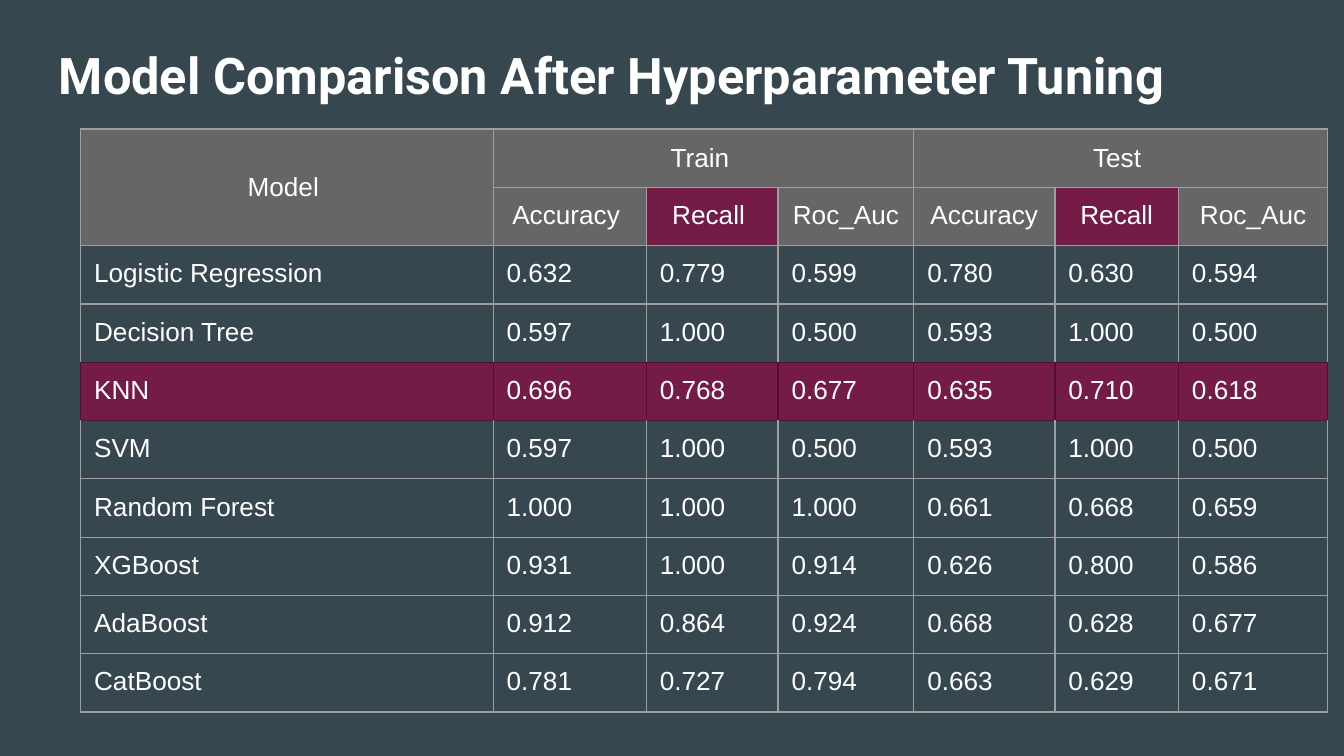
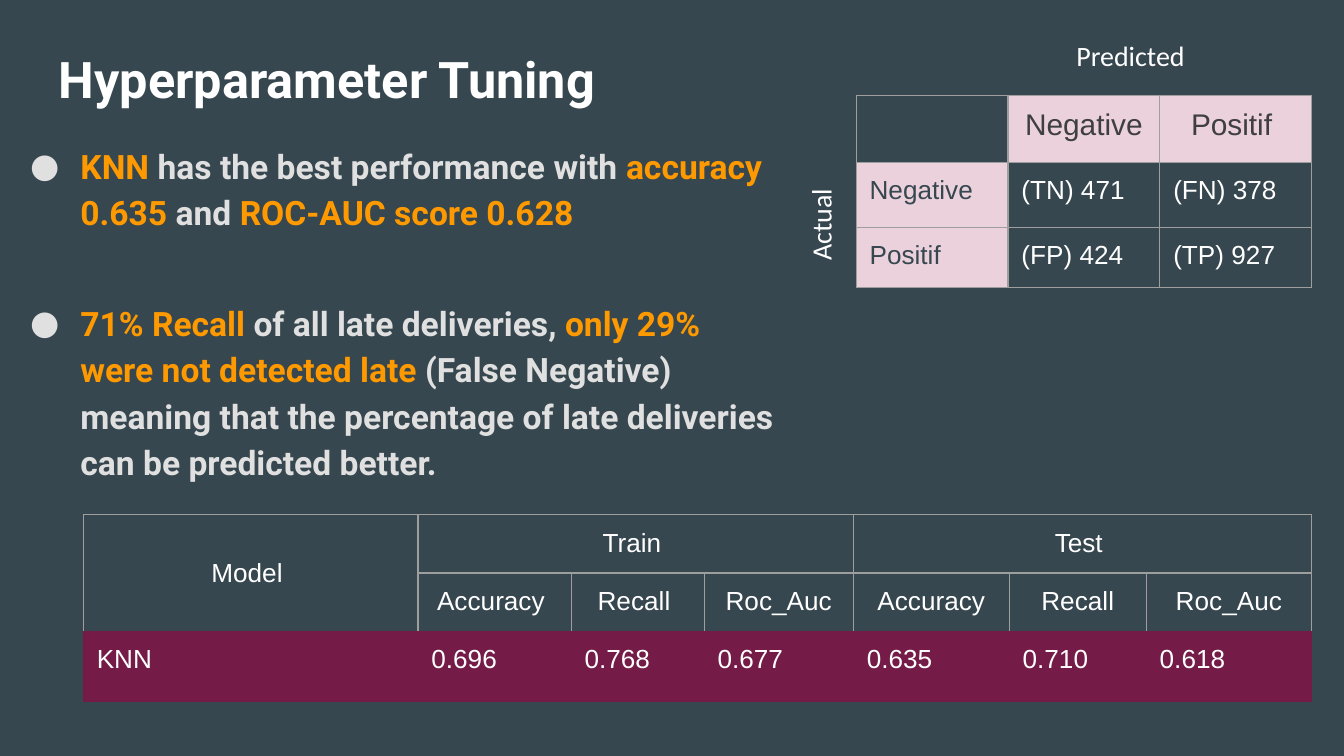
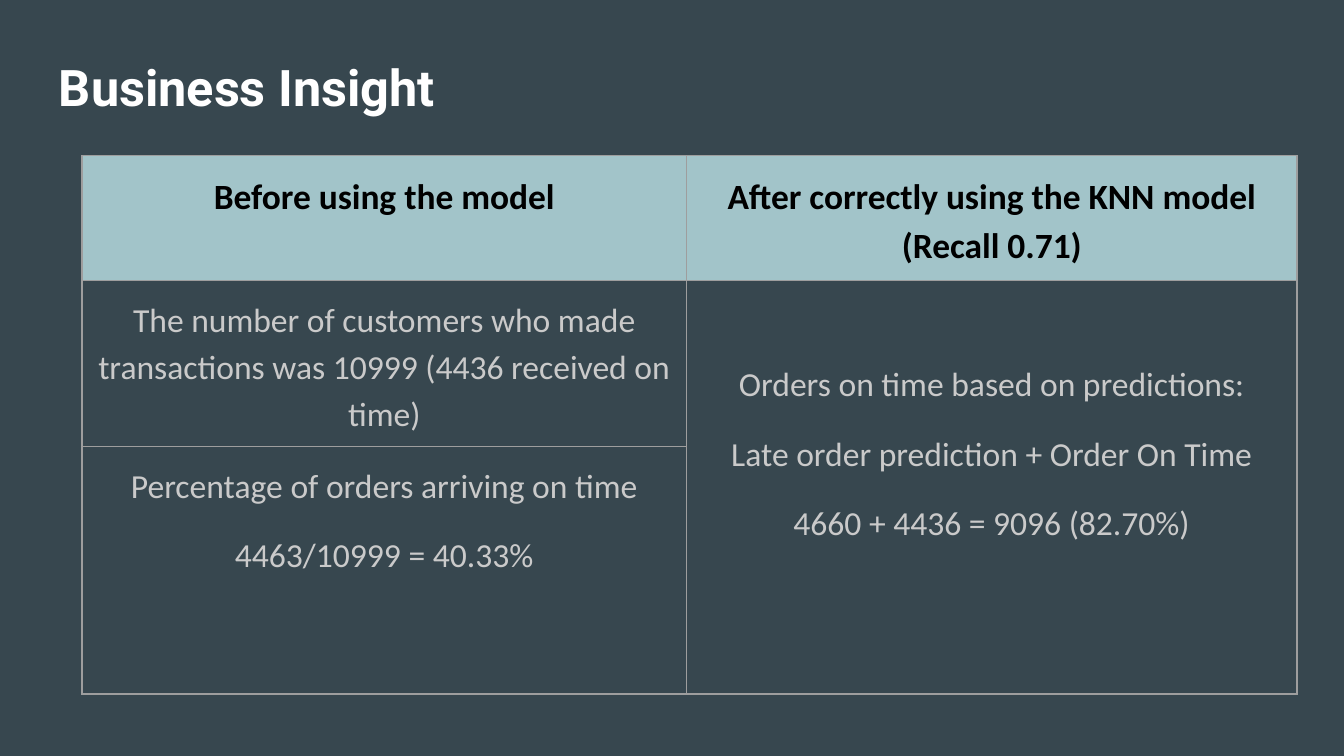
from dataclasses import dataclass, replace

from lxml.etree import SubElement
from pptx import Presentation
from pptx.dml.color import RGBColor as Rgb
from pptx.enum.text import MSO_ANCHOR as Anchor, PP_ALIGN as Align
from pptx.oxml.ns import qn
from pptx.util import Inches, Pt

COLORS = {
    "background": "37474F",
    "white": "FFFFFF",
    "black": "000000",
    "body": "E0E0E0",
    "accent": "FF9900",
    "muted": "CACACA",
    "header": "666666",
    "maroon": "741B47",
    "maroon_edge": "4C1130",
    "pink": "EAD1DC",
    "charcoal": "3F3F3F",
    "teal": "A2C4C9",
    "border": "9E9E9E",
}
UNIT = Inches(0.1)
GRID_COLUMNS, GRID_ROWS = 100, 56.25
INSET = 1


@dataclass(frozen=True)
class Style:
    font: str = "Arial"
    size: int = 14
    color: str = "white"
    bold: bool = False
    align: Align = Align.LEFT
    spacing: float = 1.0
    before: float = 0
    bullet: str = ""


@dataclass(frozen=True)
class Look:
    style: Style = Style()
    fill: str = ""
    anchor: Anchor = Anchor.TOP
    top_inset: float = INSET


TITLE = Style("Roboto", 27, bold=True)
BULLETS = Style("Roboto", 18, "body", True, spacing=1.15, before=34.5, bullet="●")
AXIS = Style("Calibri", 15)
CELL = Style()
CELL_CENTER = replace(CELL, align=Align.CENTER)
INSIGHT = Style("Calibri", 18, "muted", align=Align.CENTER, spacing=1.15, before=12)
INSIGHT_HEADER = replace(INSIGHT, size=19, color="black", bold=True)


def rgb(name):
    return Rgb.from_string(COLORS[name])


def length(units):
    return int(units * UNIT)


class Deck:
    def __init__(self):
        self.presentation = Presentation()
        self.presentation.slide_width = length(GRID_COLUMNS)
        self.presentation.slide_height = length(GRID_ROWS)
        self.slide = None

    def new_slide(self, title, top, height):
        self.slide = self.presentation.slides.add_slide(self.presentation.slide_layouts[6])
        fill = self.slide.background.fill
        fill.solid()
        fill.fore_color.rgb = rgb("background")
        self.text(3.4, top, 93.2, height, [title], TITLE)

    def text(self, left, top, width, height, paragraphs, style, rotation=0):
        shape = self.slide.shapes.add_textbox(*map(length, (left, top, width, height)))
        shape.rotation = rotation
        frame = shape.text_frame
        frame.word_wrap = True
        self.inset(frame)
        self.add_paragraphs(frame, paragraphs, style)

    def inset(self, target, top=INSET):
        target.margin_left = target.margin_right = target.margin_bottom = length(INSET)
        target.margin_top = length(top)

    def add_paragraphs(self, frame, paragraphs, style):
        for index, content in enumerate(paragraphs):
            paragraph = frame.add_paragraph() if index else frame.paragraphs[0]
            paragraph.alignment = style.align
            paragraph.line_spacing = style.spacing
            if index:
                paragraph.space_before = Pt(style.before)
            if style.bullet:
                self.bullet(paragraph, style)
            runs = [(content, style.color)] if isinstance(content, str) else content
            for text, color in runs:
                run = paragraph.add_run()
                run.text = text
                font = run.font
                font.name, font.size, font.bold = style.font, Pt(style.size), style.bold
                font.color.rgb = rgb(color)

    def bullet(self, paragraph, style):
        properties = paragraph._p.get_or_add_pPr()
        properties.set("marL", str(length(5)))
        properties.set("indent", str(length(-3.75)))
        color = SubElement(properties, qn("a:buClr"))
        SubElement(color, qn("a:srgbClr"), val=COLORS[style.color])
        SubElement(properties, qn("a:buFont"), typeface=style.font)
        SubElement(properties, qn("a:buChar"), char=style.bullet)

    def table(self, left, top, columns, rows, texts, look, spans=(), marked=None, edge="border"):
        frame = self.slide.shapes.add_table(
            len(rows), len(columns), length(left), length(top),
            length(sum(columns)), length(sum(rows)))
        table = frame.table
        table.first_row = table.horz_banding = False
        for column, width in zip(table.columns, columns):
            column.width = length(width)
        for row, height in zip(table.rows, rows):
            row.height = length(height)
        for first, last in spans:
            table.cell(*first).merge(table.cell(*last))
        for row, line in enumerate(texts):
            for column, text in enumerate(line):
                cell = table.cell(row, column)
                self.borders(cell, row, marked, edge)
                if text is not None:
                    self.fill_cell(cell, text, look(row, column))

    def fill_cell(self, cell, text, look):
        if look.fill:
            cell.fill.solid()
            cell.fill.fore_color.rgb = rgb(look.fill)
        else:
            cell.fill.background()
        cell.vertical_anchor = look.anchor
        self.inset(cell, look.top_inset)
        self.add_paragraphs(cell.text_frame, text.split("\n"), look.style)

    def borders(self, cell, row, marked, edge):
        reach = {"L": (row,), "R": (row,), "T": (row, row - 1), "B": (row, row + 1)}
        properties = cell._tc.get_or_add_tcPr()
        for side, touching in reach.items():
            line = SubElement(properties, qn(f"a:ln{side}"), w=str(Pt(0.75)))
            fill = SubElement(line, qn("a:solidFill"))
            color = edge if marked in touching else "border"
            SubElement(fill, qn("a:srgbClr"), val=COLORS[color])


SCORE_HEADER = [
    ["Model ", "Train ", None, None, "Test ", None, None],
    [None, "Accuracy ", "Recall ", "Roc_Auc", "Accuracy", "Recall", "Roc_Auc"],
]
SCORE_SPANS = [((0, 0), (1, 0)), ((0, 1), (0, 3)), ((0, 4), (0, 6))]
RECALL_COLUMNS = (2, 5)
KNN_SCORES = ["KNN", "0.696", "0.768", "0.677", "0.635", "0.710", "0.618"]
SCORES = [
    ["Logistic Regression", "0.632", "0.779", "0.599", "0.780", "0.630", "0.594"],
    ["Decision Tree", "0.597", "1.000", "0.500", "0.593", "1.000", "0.500"],
    KNN_SCORES,
    ["SVM", "0.597", "1.000", "0.500", "0.593", "1.000", "0.500"],
    ["Random Forest", "1.000", "1.000", "1.000", "0.661", "0.668", "0.659"],
    ["XGBoost", "0.931", "1.000", "0.914", "0.626", "0.800", "0.586"],
    ["AdaBoost", "0.912", "0.864", "0.924", "0.668", "0.628", "0.677"],
    ["CatBoost", "0.781", "0.727", "0.794", "0.663", "0.629", "0.671"],
]


def score_table(deck, left, top, columns, rows, scores, edge, header_fill="", recall_fill=""):
    texts = SCORE_HEADER + scores
    marked = texts.index(KNN_SCORES)

    def look(row, column):
        if row == 0:
            return Look(CELL_CENTER, header_fill, Anchor.MIDDLE)
        if row == 1:
            return Look(CELL_CENTER, recall_fill if column in RECALL_COLUMNS else header_fill)
        return Look(CELL, "maroon" if row == marked else "")

    deck.table(left, top, columns, rows, texts, look, SCORE_SPANS, marked, edge)


def confusion_look(row, column):
    if row == 0 and column:
        return Look(replace(CELL_CENTER, size=16, color="charcoal"), "pink")
    if row and column == 0:
        return Look(replace(CELL, color="background"), "pink")
    return Look()


def insight_look(row, column):
    if row == 0:
        return Look(INSIGHT_HEADER, "teal")
    return Look(INSIGHT, top_inset=5.8 if column else INSET)


def comparison_slide(deck):
    deck.new_slide("Model Comparison After Hyperparameter Tuning", 2.3, 6.3)
    score_table(deck, 6, 9.6, [30.7, 11.4, 9.8, 10.1, 10.5, 9.2, 11.1], [3.9] * 10,
                SCORES, "maroon_edge", "header", "maroon")


def tuning_slide(deck):
    deck.new_slide("Hyperparameter Tuning", 2.6, 5.3)
    deck.text(0, 9.4, 58.8, 37.4, [
        [("KNN ", "accent"), ("has the best performance with ", "body"),
         ("accuracy 0.635", "accent"), (" and ", "body"), ("ROC-AUC score 0.628", "accent")],
        [("71% Recall", "accent"), (" of all late deliveries, ", "body"),
         ("only 29% were not detected late", "accent"),
         (" (False Negative) meaning that the percentage of late deliveries"
          " can be predicted better.", "body")],
    ], BULLETS)
    deck.table(63.7, 7.1, [11.3] * 3, [4.8, 4.8, 4.5], [
        ["", "Negative", "Positif "],
        ["Negative", "(TN) 471", "(FN) 378"],
        ["Positif", "(FP) 424", "(TP) 927"],
    ], confusion_look)
    score_table(deck, 6.2, 38.3, [24.9, 11.4, 9.9, 11.1, 11.6, 10.2, 12.3], [4.2, 4.1, 5.2],
                [KNN_SCORES], "maroon")
    deck.text(79.1, 1.9, 18.5, 4.5, ["Predicted"], AXIS)
    deck.text(51.8, 8.9, 18.5, 4.5, ["Actual"], AXIS, rotation=270)


def insight_slide(deck):
    deck.new_slide("Business Insight", 3.2, 6.3)
    deck.table(6.1, 11.6, [45, 45.4], [9.3, 11.7, 18.4], [
        ["Before using the model", "After correctly using the KNN model (Recall 0.71)"],
        ["The number of customers who made transactions was 10999 (4436 received on time)",
         "Orders on time based on predictions:\nLate order prediction + Order On Time\n"
         "4660 + 4436 = 9096 (82.70%)"],
        ["Percentage of orders arriving on time\n4463/10999 = 40.33%", None],
    ], insight_look, [((1, 1), (2, 1))])


def main():
    deck = Deck()
    comparison_slide(deck)
    tuning_slide(deck)
    insight_slide(deck)
    deck.presentation.save("out.pptx")


if __name__ == "__main__":
    main()
